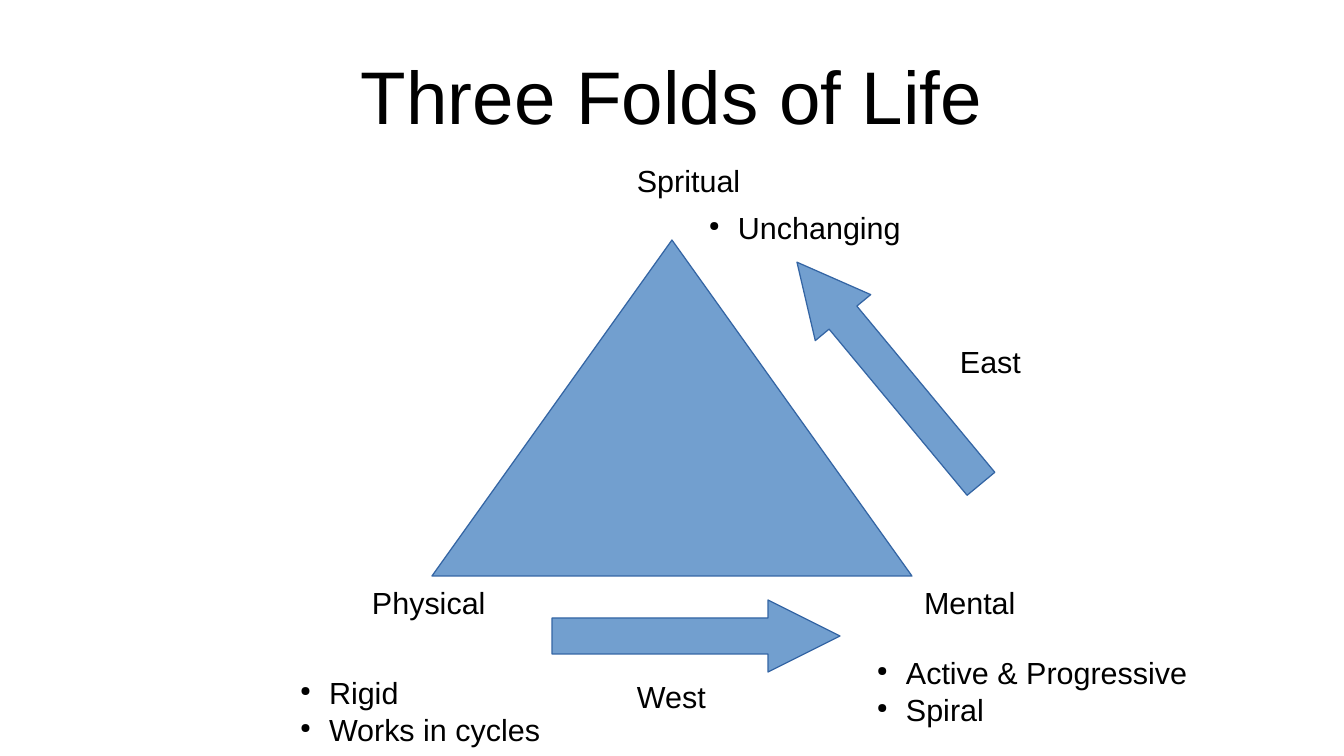
from lxml.etree import SubElement
from pptx import Presentation
from pptx.dml.color import RGBColor
from pptx.enum.shapes import MSO_SHAPE
from pptx.enum.text import MSO_ANCHOR, MSO_AUTO_SIZE, PP_ALIGN
from pptx.oxml.ns import qn
from pptx.util import Inches, Pt

PX = Inches(1) / 122
SLIDE_SIZE = (1344, 756)
TITLE_BOX = (67, 31, 1210, 127)
TRIANGLE_BOX = (432, 240, 480, 336)
ARROW_WIDTH, ARROW_LENGTH = 72, 288
BULLET_INDENT = 29

BLACK = RGBColor(0x00, 0x00, 0x00)
BLUE = RGBColor(0x72, 0x9F, 0xCF)
DARK_BLUE = RGBColor(0x34, 0x65, 0xA4)


def px(*lengths):
    return [round(length * PX) for length in lengths]


def add_bullet(para):
    properties = para._p.get_or_add_pPr()
    indent = px(BULLET_INDENT)[0]
    properties.set("marL", str(indent))
    properties.set("indent", str(-indent))
    colour = SubElement(properties, qn("a:buClr"))
    SubElement(colour, qn("a:srgbClr"), val=str(BLACK))
    SubElement(properties, qn("a:buSzPct"), val="45000")
    SubElement(properties, qn("a:buChar"), char="●")


def write_text(frame, lines, size=18, align=PP_ALIGN.LEFT, bullets=False):
    for index, line in enumerate(lines):
        para = frame.add_paragraph() if index else frame.paragraphs[0]
        para.alignment = align
        if bullets:
            add_bullet(para)
        span = para.add_run()
        span.text = line
        span.font.name = "Arial"
        span.font.size = Pt(size)
        span.font.color.rgb = BLACK


def add_label(slide, box, *lines, wrap=False, bullets=False):
    frame = slide.shapes.add_textbox(*px(*box)).text_frame
    frame.word_wrap = wrap
    frame.auto_size = MSO_AUTO_SIZE.SHAPE_TO_FIT_TEXT
    write_text(frame, lines, bullets=bullets)


def add_blue_shape(slide, kind, box):
    shape = slide.shapes.add_shape(kind, *px(*box))
    shape.shadow.inherit = False
    shape.fill.solid()
    shape.fill.fore_color.rgb = BLUE
    shape.line.color.rgb = DARK_BLUE
    shape.line.width = Pt(0)
    return shape


def add_arrow(slide, centre_x, centre_y, rotation):
    box = (centre_x - ARROW_WIDTH / 2, centre_y - ARROW_LENGTH / 2,
           ARROW_WIDTH, ARROW_LENGTH)
    arrow = add_blue_shape(slide, MSO_SHAPE.UP_ARROW, box)
    arrow.adjustments[0] = 0.5
    arrow.adjustments[1] = 1
    arrow.rotation = rotation


def add_title(slide, box, text):
    title = slide.shapes.title
    title.left, title.top, title.width, title.height = px(*box)
    frame = title.text_frame
    frame.margin_left = frame.margin_right = 0
    frame.margin_top = frame.margin_bottom = 0
    frame.vertical_anchor = MSO_ANCHOR.MIDDLE
    write_text(frame, [text], size=44, align=PP_ALIGN.CENTER)


def add_spiritual_corner(slide, box):
    left, top, width, _ = box
    apex = left + width // 2
    add_label(slide, (apex - 47, top - 84, 312, 46), "Spritual", wrap=True)
    add_label(slide, (apex + 25, top - 37, 432, 46), "Unchanging",
              wrap=True, bullets=True)


def add_physical_corner(slide, box):
    left, top, _, height = box
    base = top + height
    add_label(slide, (left - 72, base + 2, 138, 46), "Physical")
    add_label(slide, (left - 144, base + 92, 265, 81),
              "Rigid", "Works in cycles", bullets=True)


def add_mental_corner(slide, box):
    left, top, width, height = box
    right, base = left + width, top + height
    add_label(slide, (right, base + 2, 116, 46), "Mental")
    add_label(slide, (right - 47, base + 72, 337, 81),
              "Active & Progressive", "Spiral", wrap=True, bullets=True)


def add_directions(slide, box):
    left, top, width, height = box
    right, base = left + width, top + height
    add_arrow(slide, right - 23, top + 133, 320.3)
    add_label(slide, (right + 36, top + 97, 85, 46), "East")
    add_arrow(slide, left + 264, base + 60, 90)
    add_label(slide, (left + 193, base + 96, 93, 46), "West")


def main():
    deck = Presentation()
    deck.slide_width, deck.slide_height = px(*SLIDE_SIZE)
    slide = deck.slides.add_slide(deck.slide_layouts[5])
    add_title(slide, TITLE_BOX, "Three Folds of Life")
    add_blue_shape(slide, MSO_SHAPE.ISOSCELES_TRIANGLE, TRIANGLE_BOX)
    for add_part in (add_spiritual_corner, add_physical_corner,
                     add_mental_corner, add_directions):
        add_part(slide, TRIANGLE_BOX)
    deck.save("out.pptx")


if __name__ == "__main__":
    main()
